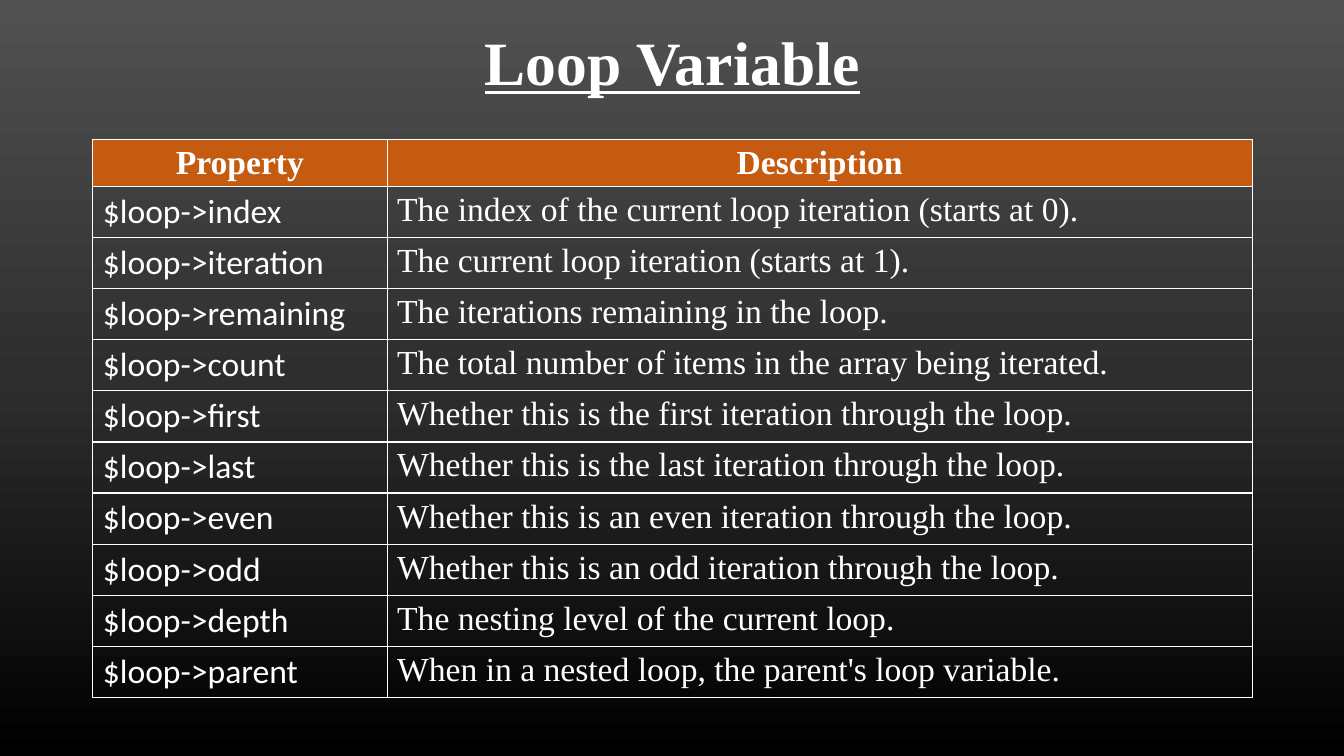
from copy import deepcopy
from lxml.etree import SubElement
from pptx import Presentation
from pptx.dml.color import RGBColor
from pptx.enum.text import MSO_ANCHOR, PP_ALIGN
from pptx.oxml.ns import qn
from pptx.util import Inches, Pt

COLORS = {"white": "FFFFFF", "head": "C55A11", "top": "515151", "mid": "2E2E2E", "base": "000000"}
SERIF, SANS = "Times New Roman", "Calibri"
LEFT, WIDTH = 0.92, 11.5
COLS = [2.92, 8.58]
ROWS = [
    ("Property", "Description"),
    ("$loop->index", "The index of the current loop iteration (starts at 0)."),
    ("$loop->iteration", "The current loop iteration (starts at 1)."),
    ("$loop->remaining", "The iterations remaining in the loop."),
    ("$loop->count", "The total number of items in the array being iterated."),
    ("$loop->first", "Whether this is the first iteration through the loop."),
    ("$loop->last", "Whether this is the last iteration through the loop."),
    ("$loop->even", "Whether this is an even iteration through the loop."),
    ("$loop->odd", "Whether this is an odd iteration through the loop."),
    ("$loop->depth", "The nesting level of the current loop."),
    ("$loop->parent", "When in a nested loop, the parent's loop variable."),
]


def write(frame, text, size=24, face=SERIF, bold=False, under=False, align=PP_ALIGN.LEFT):
    para = frame.paragraphs[0]
    para.alignment = align
    run = para.add_run()
    run.text = text
    font = run.font
    font.size, font.name, font.bold, font.underline = Pt(size), face, bold, under
    font.color.rgb = RGBColor.from_string(COLORS["white"])
    return para


def border(cell):
    props = cell._tc.get_or_add_tcPr()
    for side in ("lnL", "lnR", "lnT", "lnB"):
        line = SubElement(props, qn(f"a:{side}"), w=str(Pt(1)))
        fill = SubElement(line, qn("a:solidFill"))
        SubElement(fill, qn("a:srgbClr"), val=COLORS["white"])


deck = Presentation()
deck.slide_width, deck.slide_height = Inches(13.33), Inches(7.5)
slide = deck.slides.add_slide(deck.slide_layouts[5])

back = slide.background.fill
back.gradient()
back.gradient_angle = 270
stops = slide.element.find(".//" + qn("a:gsLst"))
stops.insert(1, deepcopy(stops[0]))
for stop, place, name in zip(back.gradient_stops, (0, 0.5, 1), ("top", "mid", "base")):
    stop.position = place
    stop.color.rgb = RGBColor.from_string(COLORS[name])

title = slide.shapes.title
title.left, title.top = Inches(LEFT), Inches(0.1)
title.width, title.height = Inches(WIDTH), Inches(1.1)
title.text_frame.vertical_anchor = MSO_ANCHOR.MIDDLE
head = write(title.text_frame, "Loop Variable", size=44, bold=True, under=True, align=PP_ALIGN.CENTER)
head.line_spacing = 0.9

frame = slide.shapes.add_table(len(ROWS), len(COLS), Inches(LEFT), Inches(1.38), Inches(WIDTH), Inches(5.5))
table = frame.table
table.horz_banding = False
for col, width in zip(table.columns, COLS):
    col.width = Inches(width)
for row in table.rows:
    row.height = Inches(0.41)
frame.height = Inches(5.5)

for r, texts in enumerate(ROWS):
    for c, text in enumerate(texts):
        cell = table.cell(r, c)
        border(cell)
        if r == 0:
            cell.fill.solid()
            cell.fill.fore_color.rgb = RGBColor.from_string(COLORS["head"])
            write(cell.text_frame, text, bold=True, align=PP_ALIGN.CENTER)
        else:
            cell.fill.background()
            write(cell.text_frame, text, face=SERIF if c else SANS)

deck.save("out.pptx")
